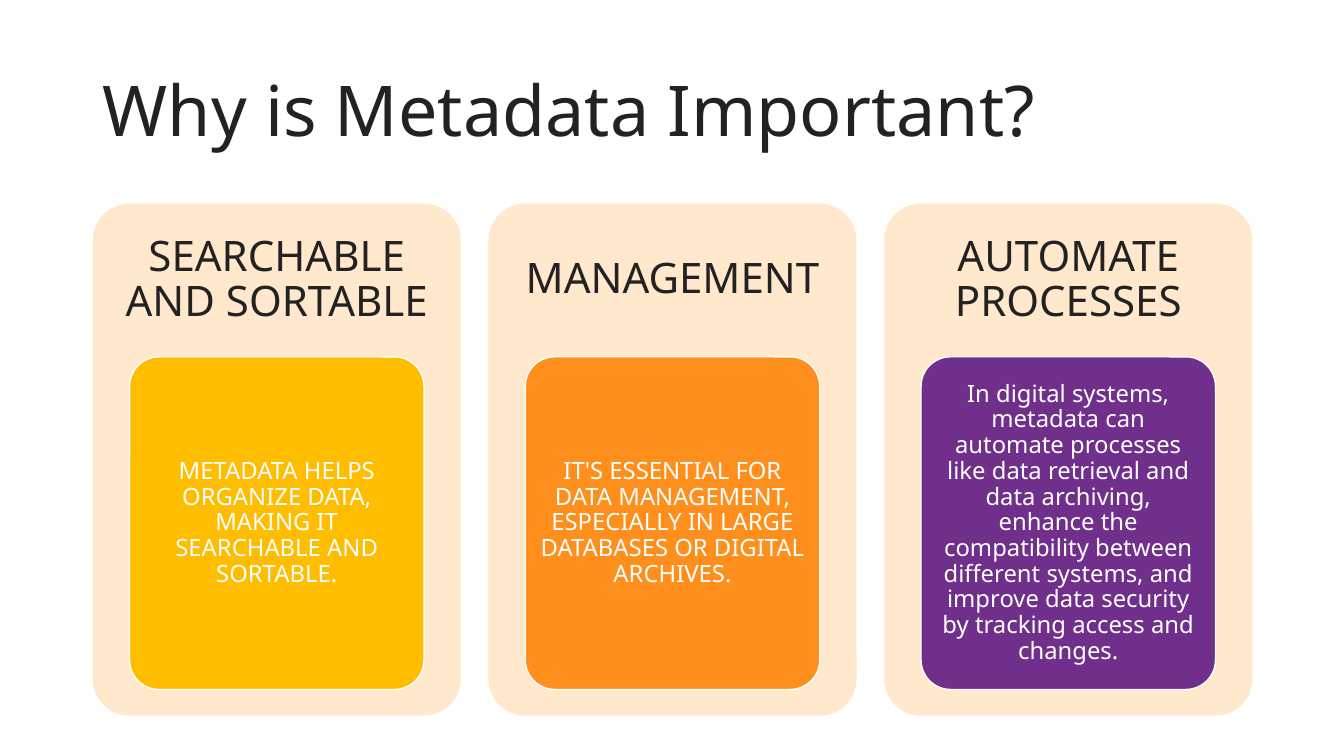
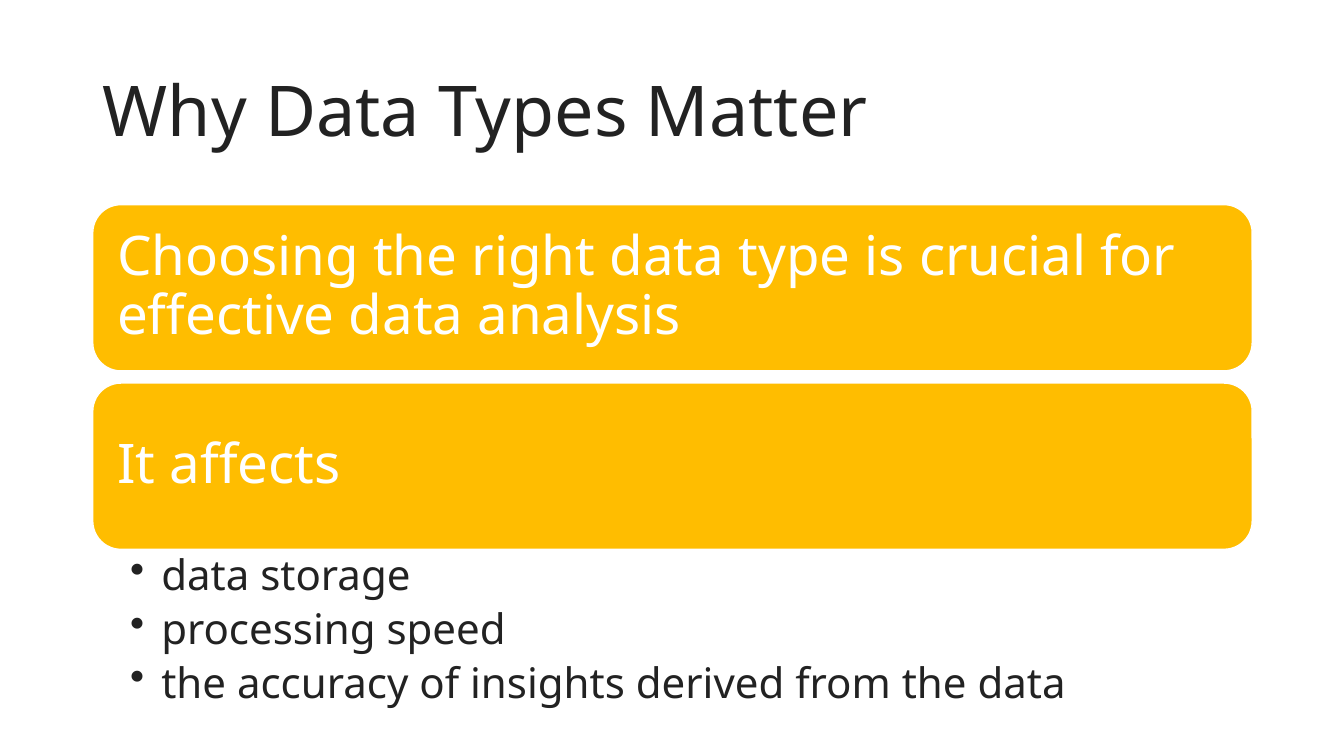
"""Build two slides on why metadata and data types matter."""
from lxml.etree import SubElement
from pptx import Presentation
from pptx.dml.color import RGBColor
from pptx.enum.shapes import MSO_SHAPE
from pptx.enum.text import MSO_ANCHOR, MSO_AUTO_SIZE, PP_ALIGN
from pptx.oxml.ns import qn
from pptx.util import Inches, Pt

COLORS = {
    "ink": "222222",
    "white": "FFFFFF",
    "cream": "FFE8CC",
    "yellow": "FFBD00",
    "orange": "FF8F1C",
    "purple": "702F8A",
}
FONT = "Noto Sans"
LEFT, WIDTH = 0.92, 11.5


def write(box, *lines, size, color="ink", align=PP_ALIGN.LEFT, anchor=MSO_ANCHOR.MIDDLE,
          insets=(0.1, 0.05, 0.1, 0.05), bullet=None, space_after=0):
    frame = box.text_frame
    frame.word_wrap = True
    frame.auto_size = MSO_AUTO_SIZE.NONE
    frame.vertical_anchor = anchor
    frame.margin_left, frame.margin_top, frame.margin_right, frame.margin_bottom = map(Inches, insets)
    for index, line in enumerate(lines):
        paragraph = frame.add_paragraph() if index else frame.paragraphs[0]
        if bullet:
            properties = paragraph._p.get_or_add_pPr()
            properties.set("marL", str(Inches(0.31)))
            properties.set("indent", str(Inches(-0.31)))
            SubElement(properties, qn("a:buChar")).set("char", bullet)
        paragraph.alignment = align
        paragraph.line_spacing = 0.9
        paragraph.space_before = Pt(0)
        paragraph.space_after = Pt(space_after)
        span = paragraph.add_run()
        span.text = line
        span.font.name = FONT
        span.font.size = Pt(size)
        span.font.color.rgb = RGBColor.from_string(COLORS[color])


def add_rounded(page, left, top, width, height, fill, radius, outlined=True):
    shape = page.shapes.add_shape(
        MSO_SHAPE.ROUNDED_RECTANGLE, Inches(left), Inches(top), Inches(width), Inches(height))
    shape.shadow.inherit = False
    shape.adjustments[0] = radius
    shape.fill.solid()
    shape.fill.fore_color.rgb = RGBColor.from_string(COLORS[fill])
    if outlined:
        shape.line.color.rgb = RGBColor.from_string(COLORS["white"])
        shape.line.width = Pt(1)
    else:
        shape.line.fill.background()
    return shape


deck = Presentation()
deck.slide_width, deck.slide_height = Inches(13.33), Inches(7.5)

pages = []
for heading in ("Why is Metadata Important?", "Why Data Types Matter"):
    page = deck.slides.add_slide(deck.slide_layouts[5])
    title = page.shapes.title
    title.left, title.top = Inches(LEFT), Inches(0.4)
    title.width, title.height = Inches(WIDTH), Inches(1.45)
    write(title, heading, size=50)
    pages.append(page)
metadata_page, types_page = pages

reasons = [
    ("SEARCHABLE AND SORTABLE", "yellow",
     "METADATA HELPS ORGANIZE DATA, MAKING IT SEARCHABLE AND SORTABLE."),
    ("MANAGEMENT", "orange",
     "IT'S ESSENTIAL FOR DATA MANAGEMENT, ESPECIALLY IN LARGE DATABASES OR DIGITAL ARCHIVES."),
    ("AUTOMATE PROCESSES", "purple",
     "In digital systems, metadata can automate processes like data retrieval and data archiving, "
     "enhance the compatibility between different systems, and improve data security by tracking "
     "access and changes."),
]
panel_top, panel_width, panel_height = 2.02, 3.65, 5.08
heading_height = 1.52
card_width, card_height = 2.92, 3.3
panel_step = (WIDTH - panel_width) / (len(reasons) - 1)
for column, (heading, fill, detail) in enumerate(reasons):
    left = LEFT + column * panel_step
    add_rounded(metadata_page, left, panel_top, panel_width, panel_height, "cream", 0.1, outlined=False)
    heading_box = metadata_page.shapes.add_textbox(
        Inches(left), Inches(panel_top), Inches(panel_width), Inches(heading_height))
    write(heading_box, heading, size=30, align=PP_ALIGN.CENTER, insets=(0.12,) * 4)
    card = add_rounded(metadata_page, left + (panel_width - card_width) / 2,
                       panel_top + heading_height, card_width, card_height, fill, 0.1)
    write(card, detail, size=17, color="white", align=PP_ALIGN.CENTER, insets=(0.05, 0.04, 0.05, 0.04))

statements = ["Choosing the right data type is crucial for effective data analysis", "It affects"]
banner_top, banner_height, banner_step = 2.03, 1.65, 1.77
for row, statement in enumerate(statements):
    banner = add_rounded(types_page, LEFT, banner_top + row * banner_step,
                         WIDTH, banner_height, "yellow", 0.17)
    write(banner, statement, size=39, color="white", insets=(0.16,) * 4)

effects = types_page.shapes.add_textbox(Inches(LEFT), Inches(5.45), Inches(WIDTH), Inches(1.63))
write(effects, "data storage", "processing speed", "the accuracy of insights derived from the data",
      size=30, anchor=MSO_ANCHOR.TOP, insets=(0.37, 0.05, 0.3, 0.05), bullet="•", space_after=6)

deck.save("out.pptx")
